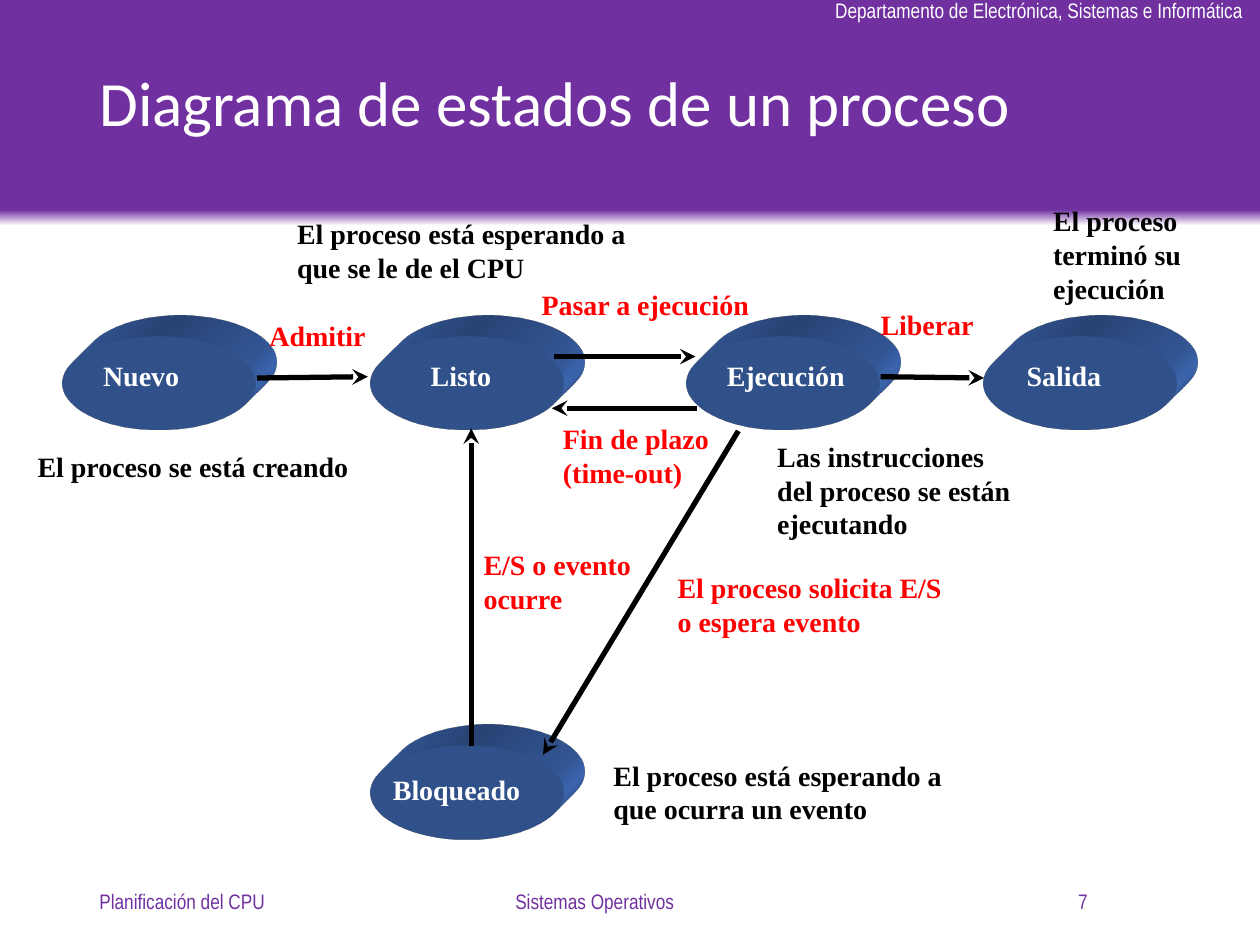
"""Build the process state diagram slide."""
import pptx
import pptx.dml.color
import pptx.enum.shapes
import pptx.enum.text
import pptx.oxml
import pptx.util

WIDTH, HEIGHT = 10, 7.5
COLORS = {"purple": "7030A0", "white": "FFFFFF", "blue": "4472C4",
          "red": "FF0000", "black": "000000"}
COLUMNS = {"new": 0.5, "ready": 2.94, "running": 5.45, "exit": 7.81}
ROWS = {"main": 2.67, "blocked": 5.92}
STATE_SIZE = (1.53, 0.74)
LABEL_DROP = {"main": 0.13, "blocked": 0.16}
BANNER_HEIGHT = 1.79
FOOTER = {"top": 6.95, "height": 0.4}
STATES = [
    ("Nuevo", "new", "main", 0.22, 0.81),
    ("Ejecución", "running", "main", 0.22, 1.15),
    ("Salida", "exit", "main", 0.24, 0.8),
    ("Listo", "ready", "main", 0.38, 0.69),
    ("Bloqueado", "ready", "blocked", 0.08, 1.22),
]
ARROWS = [
    ((2.04, 3), (2.92, 2.99)),
    ((3.74, 5.92), (3.74, 3.4)),
    ((6.99, 2.99), (7.81, 3)),
    ((4.4, 2.83), (5.52, 2.83)),
    ((5.53, 3.24), (4.38, 3.24)),
    ((5.86, 3.42), (4.31, 5.99)),
]
TRANSITIONS = [
    (["Admitir"], (2.04, 2.48, 0.97, 0.36), False),
    (["E/S o evento", "ocurre"], (3.74, 4.3, 1.37, 0.63), False),
    (["Pasar a ejecución"], (4.2, 2.23, 1.85, 0.36), False),
    (["Liberar"], (6.89, 2.39, 0.94, 0.36), False),
    (["Fin de plazo", "(time-out)"], (4.37, 3.3, 1.36, 0.63), False),
    (["El proceso solicita E/S o espera evento"], (5.28, 4.48, 2.32, 0.63), True),
]
EXPLANATIONS = [
    ("El proceso se está creando", (0.2, 3.52, 2.73, 0.37)),
    ("El proceso está esperando a que se le de el CPU", (2.26, 1.67, 3.15, 0.64)),
    ("Las instrucciones del proceso se están ejecutando", (6.07, 3.44, 2.08, 0.9)),
    ("El proceso está esperando a que ocurra un evento", (4.77, 5.97, 2.82, 0.9)),
    ("El proceso terminó su ejecución", (8.26, 1.57, 1.74, 0.9)),
]
FOOTERS = [
    ("Planificación del CPU", 0.69, 2.25, "LEFT"),
    ("Sistemas Operativos", 3.03, 3.38, "CENTER"),
    ("7", 6.48, 2.25, "RIGHT"),
]
FONTS = {
    "title": {"name": "Calibri", "size": pptx.util.Pt(36), "bold": False},
    "small": {"name": "Arial Narrow", "size": pptx.util.Pt(12), "bold": False},
    "label": {"name": "Times New Roman", "size": pptx.util.Pt(16), "bold": True},
}
NAMESPACE = 'xmlns:a="http://schemas.openxmlformats.org/drawingml/2006/main"'
EXTRUSION = [
    f'<a:scene3d {NAMESPACE}><a:camera prst="legacyObliqueTopRight"/>'
    '<a:lightRig rig="legacyFlat3" dir="b"/></a:scene3d>',
    f'<a:sp3d {NAMESPACE} extrusionH="430200" prstMaterial="legacyMatte">'
    '<a:bevelT w="13500" h="13500" prst="angle"/>'
    '<a:bevelB w="13500" h="13500" prst="angle"/>'
    f'<a:extrusionClr><a:srgbClr val="{COLORS["blue"]}"/></a:extrusionClr></a:sp3d>',
]


def color(name):
    return pptx.dml.color.RGBColor.from_string(COLORS[name])


def inches(values):
    return [pptx.util.Inches(value) for value in values]


def add_text(slide, lines, box, font, color_name, wrap=True, align="LEFT",
             anchor="TOP", spacing=1.0):
    frame = slide.shapes.add_textbox(*inches(box)).text_frame
    frame.word_wrap = wrap
    frame.vertical_anchor = getattr(pptx.enum.text.MSO_ANCHOR, anchor)
    frame.text = "\n".join(lines)
    for paragraph in frame.paragraphs:
        paragraph.alignment = getattr(pptx.enum.text.PP_ALIGN, align)
        paragraph.line_spacing = spacing
        for attribute, value in FONTS[font].items():
            setattr(paragraph.font, attribute, value)
        paragraph.font.color.rgb = color(color_name)


def add_plain_shape(slide, kind, box):
    preset = getattr(pptx.enum.shapes.MSO_SHAPE, kind)
    shape = slide.shapes.add_shape(preset, *inches(box))
    shape.shadow.inherit = False
    shape.line.fill.background()
    return shape


def add_banner(slide):
    fill = add_plain_shape(slide, "RECTANGLE", (0, 0, WIDTH, BANNER_HEIGHT)).fill
    fill.gradient()
    fill.gradient_angle = 90
    for stop, position, name in zip(fill.gradient_stops, (0, 0.07), ("white", "purple")):
        stop.position = position
        stop.color.rgb = color(name)


def add_state(slide, column, row):
    shape = add_plain_shape(slide, "OVAL", (COLUMNS[column], ROWS[row], *STATE_SIZE))
    shape.fill.solid()
    shape.fill.fore_color.rgb = color("blue")
    for xml in EXTRUSION:
        shape.element.spPr.append(pptx.oxml.parse_xml(xml))


def add_arrow(slide, start, end):
    straight = pptx.enum.shapes.MSO_CONNECTOR.STRAIGHT
    connector = slide.shapes.add_connector(straight, *inches(start + end))
    connector.line.width = pptx.util.Pt(3)
    connector.line.color.rgb = color("black")
    properties = connector.element.spPr
    properties.find(pptx.oxml.ns.qn("a:ln")).append(
        pptx.oxml.parse_xml(f'<a:tailEnd {NAMESPACE} type="stealth"/>'))
    properties.append(pptx.oxml.parse_xml(f"<a:effectLst {NAMESPACE}/>"))


def main():
    presentation = pptx.Presentation()
    presentation.slide_width, presentation.slide_height = inches((WIDTH, HEIGHT))
    slide = presentation.slides.add_slide(presentation.slide_layouts[6])
    add_banner(slide)
    add_text(slide, ["Departamento de Electrónica, Sistemas e Informática"],
             (6.53, -0.07, 3.48, 0.3), "small", "white", wrap=False)
    add_text(slide, ["Diagrama de estados de un proceso"], (0.69, 0.15, 8.62, 1.39),
             "title", "white", anchor="MIDDLE", spacing=0.9)
    for text, left, width, align in FOOTERS:
        add_text(slide, [text], (left, FOOTER["top"], width, FOOTER["height"]),
                 "small", "purple", align=align, anchor="MIDDLE")
    for _, column, row, _, _ in STATES:
        add_state(slide, column, row)
    for text, column, row, indent, width in STATES:
        box = (COLUMNS[column] + indent, ROWS[row] + LABEL_DROP[row], width, 0.37)
        add_text(slide, [text], box, "label", "white", wrap=False)
    for start, end in ARROWS:
        add_arrow(slide, start, end)
    for lines, box, wrap in TRANSITIONS:
        add_text(slide, lines, box, "label", "red", wrap)
    for text, box in EXPLANATIONS:
        add_text(slide, [text], box, "label", "black")
    presentation.save("out.pptx")


if __name__ == "__main__":
    main()
